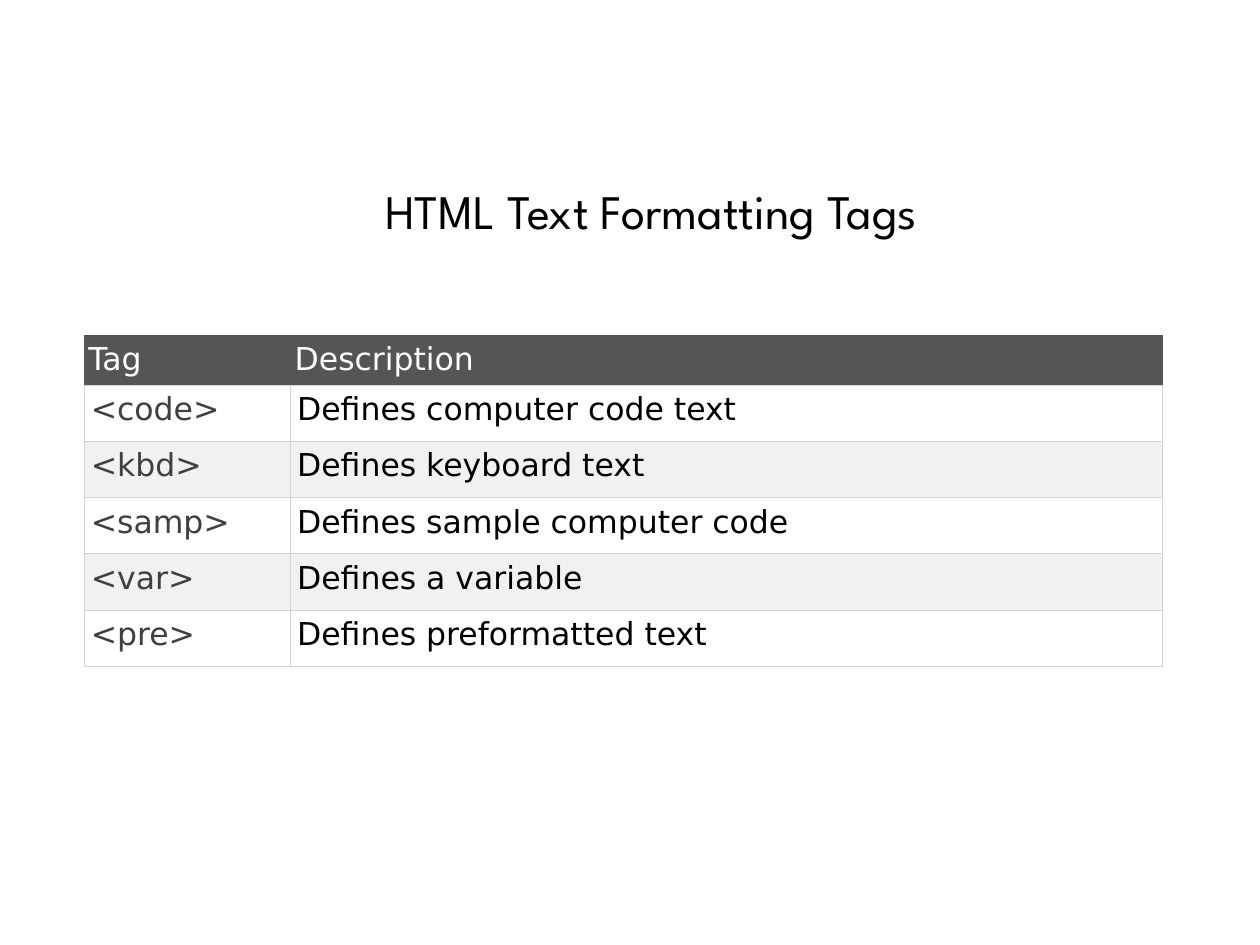
from lxml.etree import SubElement
from pptx import Presentation
from pptx.dml.color import RGBColor as RGB
from pptx.enum.text import MSO_ANCHOR as Anchor, PP_ALIGN as Align
from pptx.oxml.ns import qn
from pptx.util import Cm, Pt

HEADING = "HTML Text Formatting Tags"
TAGS = [
    ("Tag", "Description"),
    ("<code>", "Defines computer code text"),
    ("<kbd>", "Defines keyboard text\u00a0"),
    ("<samp>", "Defines sample computer code"),
    ("<var>", "Defines a variable"),
    ("<pre>", "Defines preformatted text"),
]
COLORS = {
    "header": "555555",
    "header_text": "FFFFFF",
    "odd": "FFFFFF",
    "even": "F1F1F1",
    "tag": "404040",
    "description": "000000",
    "heading": "000000",
    "grid": "D4D4D4",
}
HEADING_FONT = {"name": "League Spartan", "size": Pt(27.5)}
TABLE_FONT = {"name": "DejaVu Sans", "size": Pt(18)}
HEADING_FRAME = {
    "word_wrap": True,
    "vertical_anchor": Anchor.MIDDLE,
    "margin_left": Cm(0.25),
    "margin_right": Cm(0.25),
    "margin_top": Cm(0.13),
    "margin_bottom": Cm(0.13),
}
LEFT = 1.7
COLUMN_WIDTHS = (4.16, 17.58)
HEADER_HEIGHT, ROW_HEIGHT = 0.98, 1.135


def apply(target, values):
    for name, value in values.items():
        setattr(target, name, value)


def style_font(font, values, color):
    apply(font, values)
    font.color.rgb = RGB.from_string(COLORS[color])


def add_borders(cell, edges):
    properties = cell._tc.get_or_add_tcPr()
    for edge, color in edges.items():
        line = SubElement(properties, qn(f"a:ln{edge}"), w=str(Pt(0.34)))
        fill = SubElement(line, qn("a:solidFill"))
        SubElement(fill, qn("a:srgbClr"), val=COLORS[color])


def fill_cell(cell, text, row, column):
    is_header = row == 0
    if is_header:
        background, ink = "header", "header_text"
    else:
        background = "odd" if row % 2 else "even"
        ink = ("tag", "description")[column]
    side = Cm(0.08 if is_header else 0.13)
    apply(cell, {"margin_left": side, "margin_right": side,
                 "margin_top": Cm(0.13), "margin_bottom": Cm(0.13)})
    edges = dict.fromkeys("LRTB", "header" if is_header else "grid")
    edges["B"] = "grid"
    add_borders(cell, edges)
    cell.fill.solid()
    cell.fill.fore_color.rgb = RGB.from_string(COLORS[background])
    cell.text = text
    style_font(cell.text_frame.paragraphs[0].runs[0].font, TABLE_FONT, ink)


def add_tag_table(slide):
    heights = [HEADER_HEIGHT] + [ROW_HEIGHT] * (len(TAGS) - 1)
    table = slide.shapes.add_table(
        len(TAGS), len(COLUMN_WIDTHS), Cm(LEFT), Cm(6.76),
        Cm(sum(COLUMN_WIDTHS)), Cm(sum(heights))).table
    for column, width in zip(table.columns, COLUMN_WIDTHS):
        column.width = Cm(width)
    for row, height in zip(table.rows, heights):
        row.height = Cm(height)
    for row, entry in enumerate(TAGS):
        for column, text in enumerate(entry):
            fill_cell(table.cell(row, column), text, row, column)


def add_heading(slide):
    frame = slide.shapes.add_textbox(
        Cm(LEFT), Cm(3.61), Cm(22.86), Cm(1.47)).text_frame
    apply(frame, HEADING_FRAME)
    heading = frame.paragraphs[0]
    apply(heading, {"alignment": Align.CENTER, "line_spacing": 0.8})
    run = heading.add_run()
    run.text = HEADING
    style_font(run.font, HEADING_FONT, "heading")


def main():
    deck = Presentation()
    apply(deck, {"slide_width": Cm(25.4), "slide_height": Cm(19.05)})
    slide = deck.slides.add_slide(deck.slide_layouts[6])
    add_tag_table(slide)
    add_heading(slide)
    deck.save("out.pptx")


if __name__ == "__main__":
    main()
